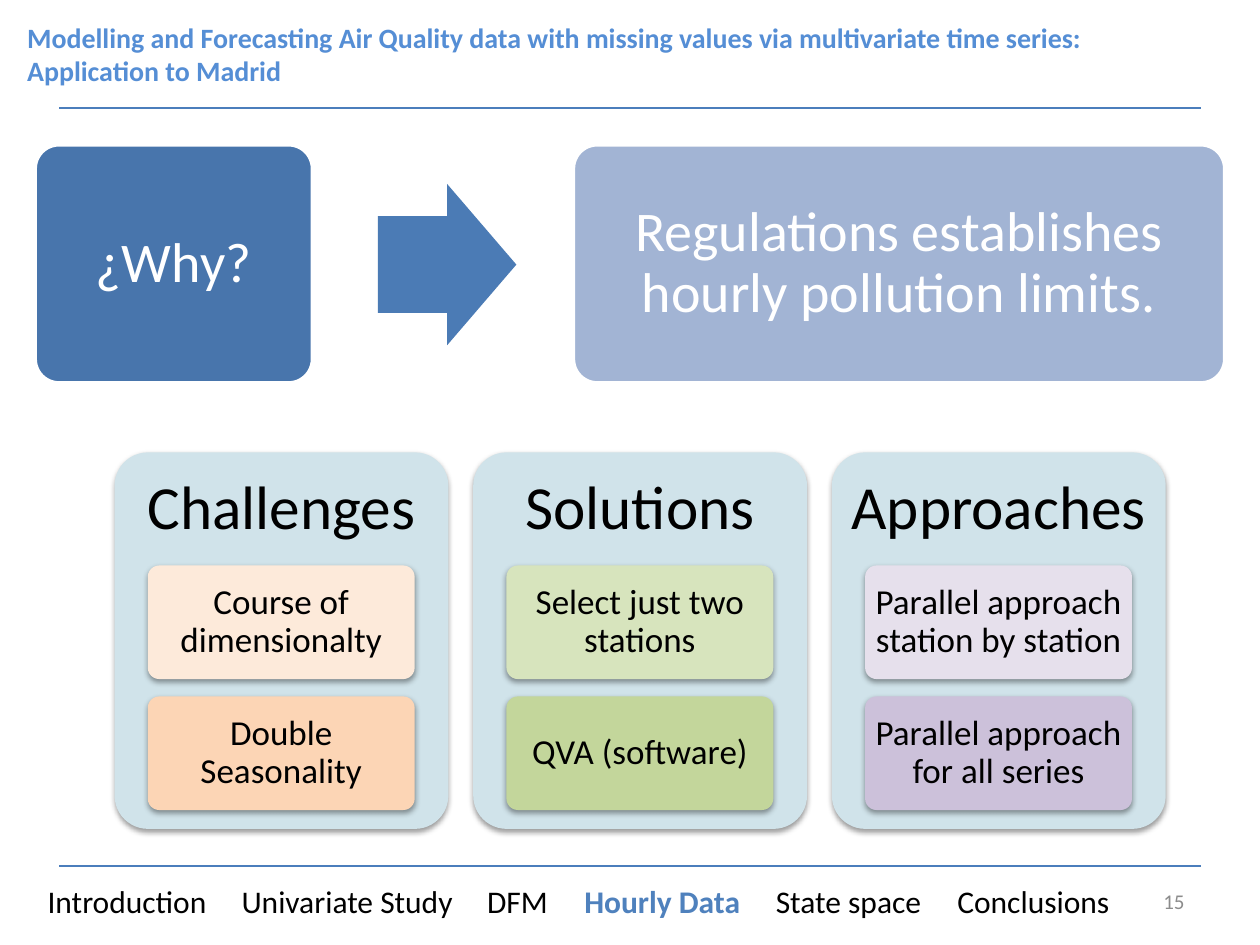
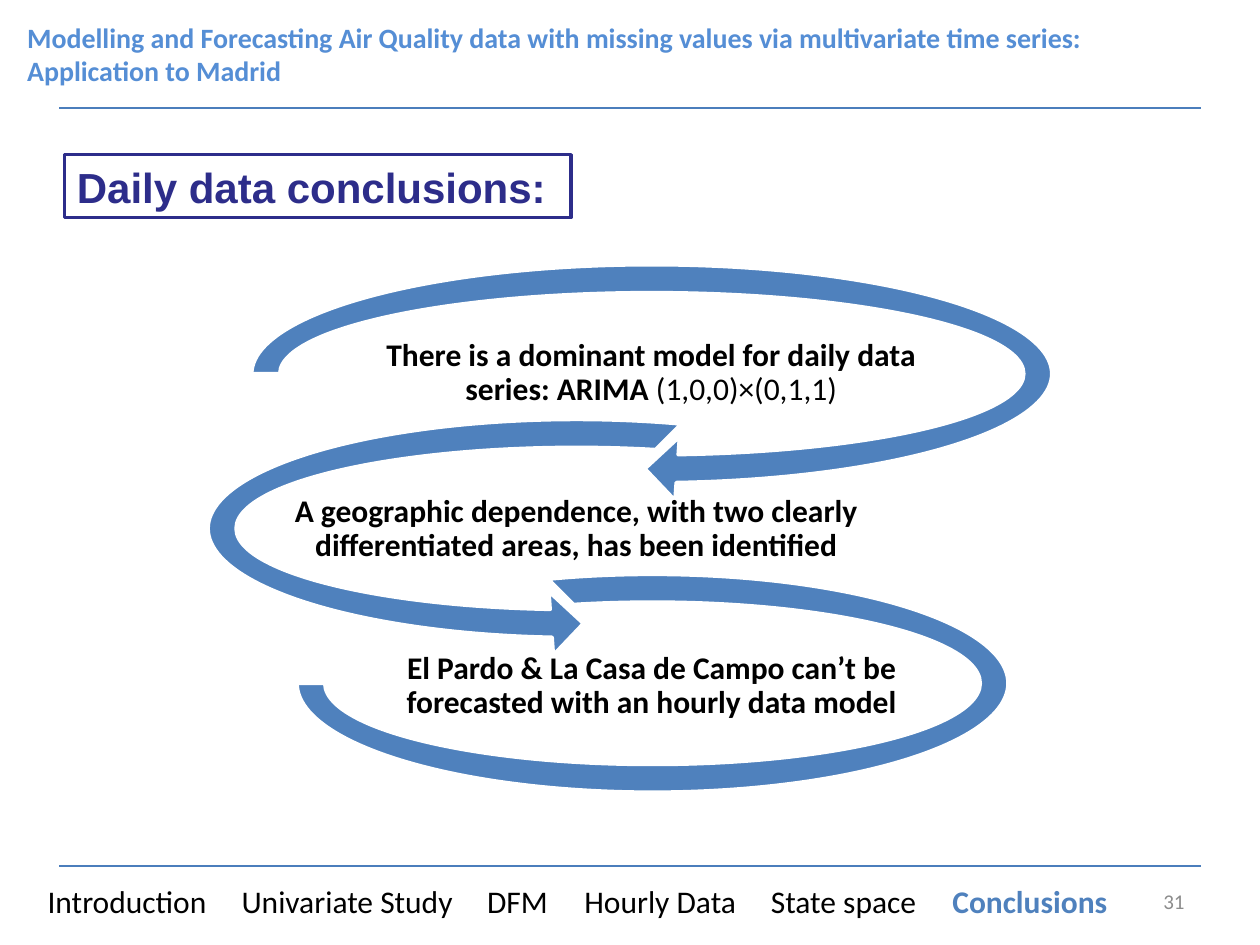
from lxml.etree import SubElement
from pptx import Presentation
from pptx.dml.color import RGBColor
from pptx.enum.shapes import MSO_CONNECTOR, MSO_SHAPE as Shape
from pptx.enum.text import MSO_ANCHOR as Anchor, PP_ALIGN as Align
from pptx.oxml.ns import qn
from pptx.util import Cm, Pt

BLACK, WHITE, BLUE = "000000", "FFFFFF", "4F81BD"
TITLE_BLUE, RULE_BLUE, NUMBER_GREY, NAVY = "558ED5", "4B7EBC", "8C8C8C", "2D2D8A"
PANEL_FILL = "D0E3EA"

TALK = ("Modelling and Forecasting Air Quality data with missing values "
        "via multivariate time series: Application to Madrid")
SECTIONS = ["Introduction", "Univariate Study", "DFM", "Hourly Data",
            "State space", "Conclusions"]
SECTION_STOPS = [3.91, 8.86, 10.82, 14.58, 18.24]
BOLD_SHIFT = 0.1

COLUMNS = [
    ("Challenges", [("Course of dimensionalty", "FDEADA"),
                    ("Double Seasonality", "FCD5B5")]),
    ("Solutions", [("Select just two stations", "D7E4BD"),
                   ("QVA (software)", "C3D69B")]),
    ("Approaches", [("Parallel approach station by station", "E6E0EC"),
                    ("Parallel approach for all series", "CCC1DA")]),
]

LOOPS = [
    (Shape.CIRCULAR_ARROW, (4.72, 4.98, 16.84, 5.11),
     (0.11, 11.42, 45, 108, 0.125), (7.49, 6.07, 11.28, 2.92),
     ["There is a dominant model for daily data series: ARIMA ",
      "(1,0,0)×(0,1,1)"]),
    (Shape.LEFT_CIRCULAR_ARROW, (3.84, 8.1, 15.57, 5.11),
     (0.11, 11.42, 63, 189, 0.125), (5.41, 9.19, 12.42, 2.97),
     ["A geographic dependence, with two clearly differentiated areas, "
      "has been identified"]),
    (Shape.BLOCK_ARC, (5.99, 11.58, 14.33, 4.39),
     (135, 108, 0.127), (7.82, 12.32, 10.64, 3.02),
     ["El Pardo & La Casa de Campo can’t be forecasted with an hourly "
      "data model"]),
]


def rgb(value):
    return RGBColor.from_string(value)


def style(run, size, color, bold=False, font="Calibri"):
    run.font.name = font
    run.font.size = Pt(size)
    run.font.bold = bold
    run.font.color.rgb = rgb(color)


def write(holder, text, size, color, bold=False, font="Calibri",
          align=Align.CENTER, anchor=Anchor.MIDDLE, insets=(0.25, 0.13),
          spacing=0.9):
    frame = holder.text_frame
    frame.word_wrap = True
    frame.vertical_anchor = anchor
    frame.margin_left = frame.margin_right = Cm(insets[0])
    frame.margin_top = frame.margin_bottom = Cm(insets[1])
    frame.text = text
    paragraph = frame.paragraphs[0]
    paragraph.alignment = align
    paragraph.line_spacing = spacing
    for run in paragraph.runs:
        style(run, size, color, bold, font)
    return paragraph


def add_label(slide, box, text, size, color, **options):
    label = slide.shapes.add_textbox(*map(Cm, box))
    return write(label, text, size, color, **options)


def add_block(slide, kind, box, fill, outline=None, adjustments=()):
    block = slide.shapes.add_shape(kind, *map(Cm, box))
    block.shadow.inherit = False
    block.fill.solid()
    block.fill.fore_color.rgb = rgb(fill)
    if outline:
        block.line.color.rgb = rgb(outline)
        block.line.width = Pt(2)
    else:
        block.line.fill.background()
    for index, value in enumerate(adjustments):
        block.adjustments[index] = value
    return block


def add_raised(slide, box, fill):
    raised = add_block(slide, Shape.ROUNDED_RECTANGLE, box, fill,
                       adjustments=[0.1])
    effects = raised._element.spPr.find(qn("a:effectLst"))
    shadow = SubElement(effects, qn("a:outerShdw"), blurRad="40000",
                        dist="20000", dir="5400000", rotWithShape="0")
    tint = SubElement(shadow, qn("a:srgbClr"), val=BLACK)
    SubElement(tint, qn("a:alpha"), val="38000")
    return raised


def add_rule(slide, top):
    rule = slide.shapes.add_connector(MSO_CONNECTOR.STRAIGHT, Cm(1.19), Cm(top),
                                      Cm(24.21), Cm(top))
    rule.line.color.rgb = rgb(RULE_BLUE)
    rule.line.width = Pt(0.75)
    SubElement(rule._element.spPr, qn("a:effectLst"))


def add_section_bar(slide, active):
    bar = add_label(slide, (0.71, 17.65, 22.61, 1.02), "", 18, BLACK,
                    align=Align.LEFT, anchor=Anchor.TOP, spacing=1.0)
    active_index = SECTIONS.index(active)
    tabs = SubElement(bar._p.get_or_add_pPr(), qn("a:tabLst"))
    for index, stop in enumerate(SECTION_STOPS):
        shift = BOLD_SHIFT if index >= active_index else 0
        SubElement(tabs, qn("a:tab"), pos=str(Cm(stop + shift)), algn="l")
    for index, section in enumerate(SECTIONS):
        entry = bar.add_run()
        entry.text = section if index == 0 else "\t" + section
        current = section == active
        style(entry, 18, BLUE if current else BLACK, current)


def add_page(deck, active, number):
    slide = deck.slides.add_slide(deck.slide_layouts[6])
    add_label(slide, (0.3, 0.28, 23.11, 1.63), TALK, 16, TITLE_BLUE, bold=True,
              align=Align.LEFT, anchor=Anchor.TOP, spacing=1.0)
    for top in (2.18, 17.46):
        add_rule(slide, top)
    add_label(slide, (18.21, 17.65, 5.92, 1.02), number, 12, NUMBER_GREY,
              align=Align.RIGHT, spacing=1.0)
    add_section_bar(slide, active)
    return slide


def add_statement(slide, left, width, text, fill):
    statement = add_block(slide, Shape.ROUNDED_RECTANGLE,
                          (left, 2.92, width, 4.8), fill, WHITE, [0.1])
    write(statement, text, 32, WHITE, insets=(0.34, 0.34))


def add_column(slide, left, heading, cards):
    add_raised(slide, (left, 9.12, 6.73, 7.59), PANEL_FILL)
    add_label(slide, (left, 9.12, 6.73, 2.29), heading, 35, BLACK,
              insets=(0.37, 0.37))
    for row, (text, fill) in enumerate(cards):
        card = add_raised(slide, (left + 0.67, 11.4 + 2.64 * row, 5.38, 2.29), fill)
        write(card, text, 20, BLACK, insets=(0.14, 0.11))


def add_loop(slide, kind, box, adjustments, text_box, parts):
    add_block(slide, kind, box, BLUE, WHITE, adjustments)
    conclusion = add_label(slide, text_box, parts[0], 18, BLACK, bold=True,
                           insets=(0.02, 0.02))
    for part in parts[1:]:
        model = conclusion.add_run()
        model.text = part
        style(model, 18, BLACK)


def build_hourly_data(deck):
    slide = add_page(deck, "Hourly Data", "15")
    for index, (heading, cards) in enumerate(COLUMNS):
        add_column(slide, 2.31 + 7.23 * index, heading, cards)
    add_statement(slide, 0.71, 5.59, "¿Why?", "4875AC")
    add_block(slide, Shape.RIGHT_ARROW, (7.62, 3.71, 2.79, 3.25), "4B7BB5",
              adjustments=[0.6, 0.5])
    add_statement(slide, 11.56, 13.13,
                  "Regulations establishes hourly pollution limits.", "A2B4D4")


def build_conclusions(deck):
    slide = add_page(deck, "Conclusions", "31")
    for loop in LOOPS:
        add_loop(slide, *loop)
    heading = add_block(slide, Shape.RECTANGLE, (1.3, 3.12, 10.21, 1.27),
                        WHITE, NAVY)
    write(heading, "Daily data conclusions:", 24, NAVY, bold=True, font="Arial",
          align=Align.LEFT, anchor=Anchor.TOP, spacing=1.0)


def main():
    deck = Presentation()
    deck.slide_width, deck.slide_height = Cm(25.4), Cm(19.05)
    build_hourly_data(deck)
    build_conclusions(deck)
    deck.save("out.pptx")


if __name__ == "__main__":
    main()
